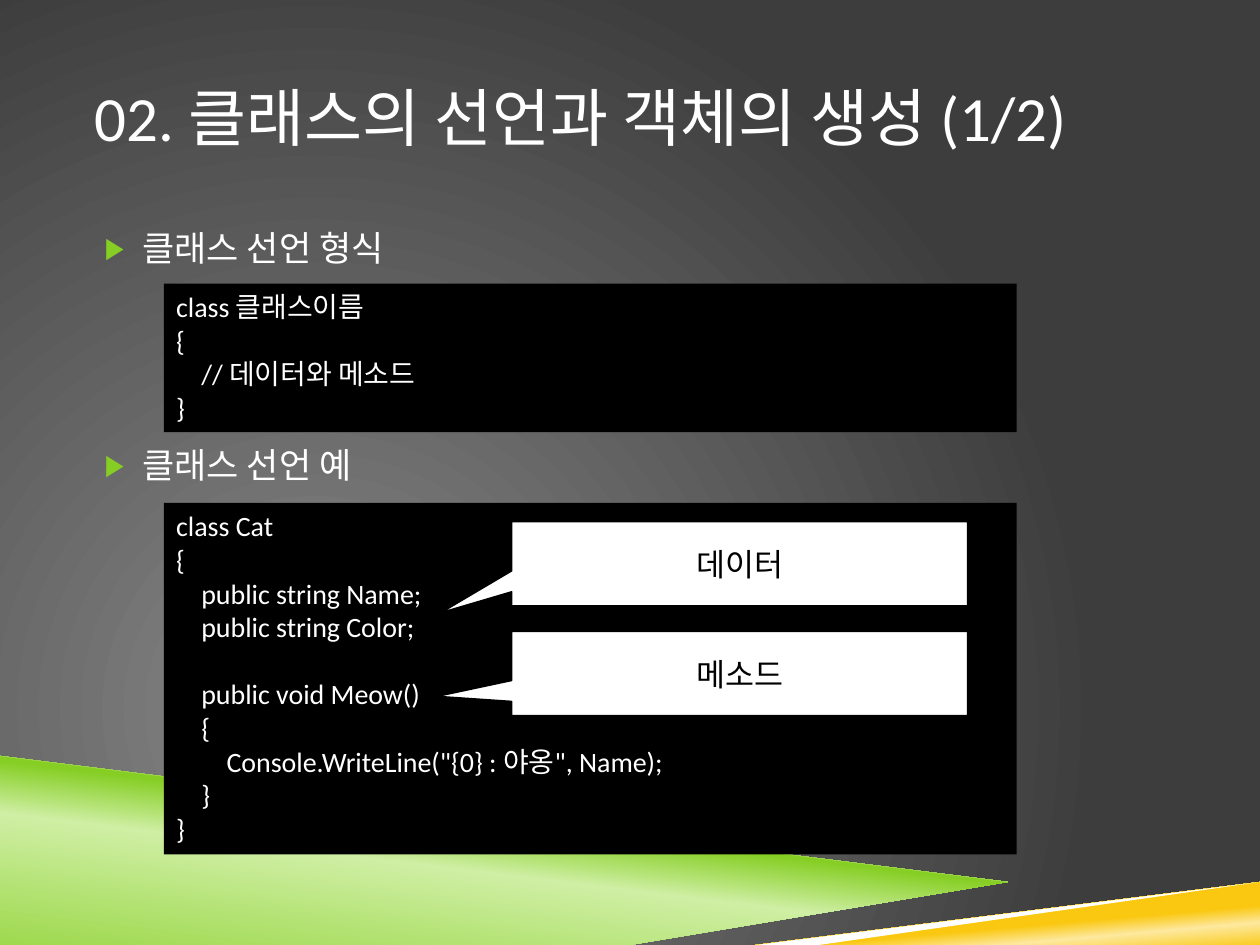
from lxml.etree import SubElement
from pptx import Presentation
from pptx.dml.color import RGBColor
from pptx.enum.shapes import MSO_SHAPE as Shape
from pptx.enum.text import MSO_ANCHOR as Anchor, MSO_AUTO_SIZE as AutoSize, PP_ALIGN as Align
from pptx.oxml.ns import qn
from pptx.util import Inches, Pt

FONT = "Calibri"
COLORS = {
    "white": "FFFFFF", "black": "000000", "green": "86CE24", "pale_green": "CFEFA4",
    "yellow": "FAC810", "pale_yellow": "FDE99F", "gray": "878787", "dark_gray": "3D3D3D",
}
TITLE = "02. 클래스의 선언과 객체의 생성 (1/2)"
BULLETS = ["클래스 선언 형식", "클래스 선언 예"]
BULLET_GAP = 100
CODE_BLOCKS = [
    (2.25, 1.18, """class 클래스이름
{
    // 데이터와 메소드
}"""),
    (3.99, 2.79, """class Cat
{
    public string Name;
    public string Color;

    public void Meow()
    {
        Console.WriteLine("{0} : 야옹", Name);
    }
}"""),
]
CALLOUTS = [
    (4.14, "데이터", (-0.657, 0.584)),
    (5.01, "메소드", (-0.665, 0.273)),
]
BACKGROUND = [(0, "gray"), (100, "dark_gray")]
GREEN_BAND = [(0, "green"), (52, "pale_green"), (66, "green")]
YELLOW_BAND = [(28, "yellow"), (40, "pale_yellow"), (48, "yellow")]
BANDS = [
    ([(0, 5.97), (7.92, 6.92), (2, 7.5), (0, 7.5)], GREEN_BAND, 277),
    ([(1.98, 7.5), (10, 6.72), (10, 7.5)], YELLOW_BAND, 265),
    ([(0, 5.92), (0, 6), (7.9, 6.93), (8.32, 6.9)], None, None),
    ([(10, 6.69), (1.84, 7.5), (2.66, 7.5), (10, 6.77)], None, None),
]


def color(name):
    return RGBColor.from_string(COLORS[name])


def set_gradient(fill, element, stops, angle=None):
    fill.gradient()
    gradient = next(element.iter(qn("a:gradFill")))
    for child in list(gradient):
        gradient.remove(child)
    stop_list = SubElement(gradient, qn("a:gsLst"))
    for position, name in stops:
        stop = SubElement(stop_list, qn("a:gs"), pos=str(position * 1000))
        SubElement(stop, qn("a:srgbClr"), val=COLORS[name])
    if angle is None:
        circle = SubElement(gradient, qn("a:path"), path="circle")
        SubElement(circle, qn("a:fillToRect"), l="50000", t="100000", r="100000", b="50000")
    else:
        SubElement(gradient, qn("a:lin"), ang=str(angle * 60000), scaled="0")


def place(shape, left, top, width, height):
    shape.left, shape.top = Inches(left), Inches(top)
    shape.width, shape.height = Inches(width), Inches(height)


def format_text(text_frame, size, name, align, anchor):
    text_frame.word_wrap = True
    text_frame.vertical_anchor = anchor
    for paragraph in text_frame.paragraphs:
        paragraph.alignment = align
        paragraph.font.size = Pt(size)
        for run in paragraph.runs:
            run.font.name = FONT
            run.font.size = Pt(size)
            run.font.color.rgb = color(name)


def add_band(slide, points, stops, angle):
    builder = slide.shapes.build_freeform(*points[0], scale=Inches(1))
    builder.add_line_segments(points[1:], close=True)
    shape = builder.convert_to_shape()
    shape.shadow.inherit = False
    shape.line.fill.background()
    if stops:
        set_gradient(shape.fill, shape.element, stops, angle)
    else:
        shape.fill.solid()
        shape.fill.fore_color.rgb = color("white")


def add_box(slide, kind, position, fill, text):
    shape = slide.shapes.add_shape(kind, *map(Inches, position))
    shape.shadow.inherit = False
    shape.fill.solid()
    shape.fill.fore_color.rgb = color(fill)
    shape.line.fill.background()
    shape.text_frame.text = text
    return shape


def add_bullet(paragraph):
    properties = paragraph._p.get_or_add_pPr()
    properties.set("marL", str(Inches(0.38)))
    properties.set("indent", str(Inches(-0.3)))
    bullet_color = SubElement(properties, qn("a:buClr"))
    SubElement(bullet_color, qn("a:srgbClr"), val=COLORS["green"])
    SubElement(properties, qn("a:buSzPct"), val="85000")
    SubElement(properties, qn("a:buChar"), char="▶")


def fill_placeholder(placeholder, position, text, size, anchor):
    place(placeholder, *position)
    text_frame = placeholder.text_frame
    text_frame.text = text
    text_frame.auto_size = AutoSize.NONE
    text_frame.margin_left = text_frame.margin_right = 0
    if anchor == Anchor.TOP:
        for index, paragraph in enumerate(text_frame.paragraphs):
            add_bullet(paragraph)
            paragraph.space_before = Pt(BULLET_GAP if index else 0)
    format_text(text_frame, size, "white", Align.LEFT, anchor)


def main():
    presentation = Presentation()
    presentation.slide_width, presentation.slide_height = Inches(10), Inches(7.5)
    slide = presentation.slides.add_slide(presentation.slide_layouts[1])
    set_gradient(slide.background.fill, slide.element, BACKGROUND)

    for points, stops, angle in BANDS:
        add_band(slide, points, stops, angle)

    title, body = slide.placeholders
    fill_placeholder(title, (0.75, 0.3, 8.5, 1.25), TITLE, 36, Anchor.MIDDLE)
    fill_placeholder(body, (0.75, 1.75, 8.5, 4.52), "\n".join(BULLETS), 20, Anchor.TOP)

    for top, height, code in CODE_BLOCKS:
        box = add_box(slide, Shape.RECTANGLE, (1.3, top, 6.77, height), "black", code)
        format_text(box.text_frame, 16, "white", Align.LEFT, Anchor.TOP)
        box.text_frame.auto_size = AutoSize.SHAPE_TO_FIT_TEXT

    for top, label, tip in CALLOUTS:
        callout = add_box(slide, Shape.RECTANGULAR_CALLOUT, (4.06, top, 3.62, 0.67), "white", label)
        callout.adjustments[0], callout.adjustments[1] = tip
        callout.line.color.rgb = color("black")
        callout.line.width = Pt(1)
        format_text(callout.text_frame, 18, "black", Align.CENTER, Anchor.MIDDLE)

    presentation.save("out.pptx")


if __name__ == "__main__":
    main()
